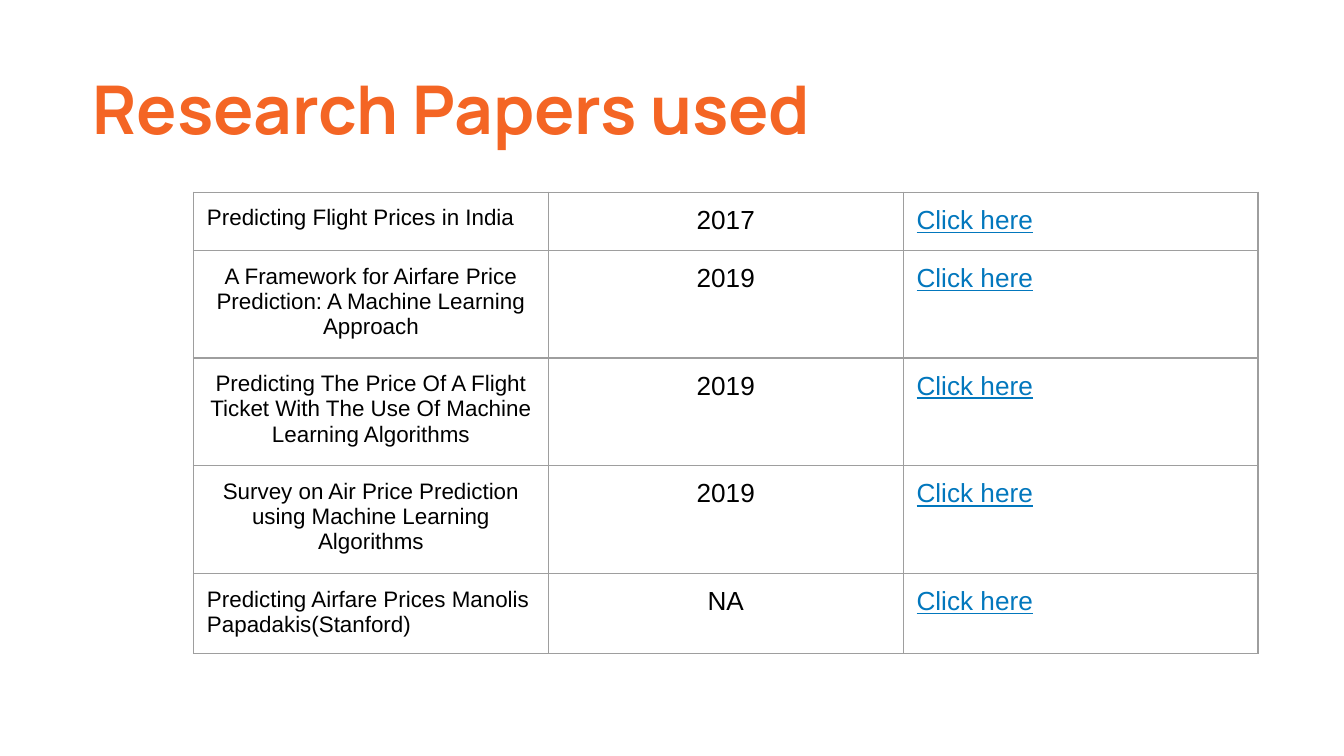
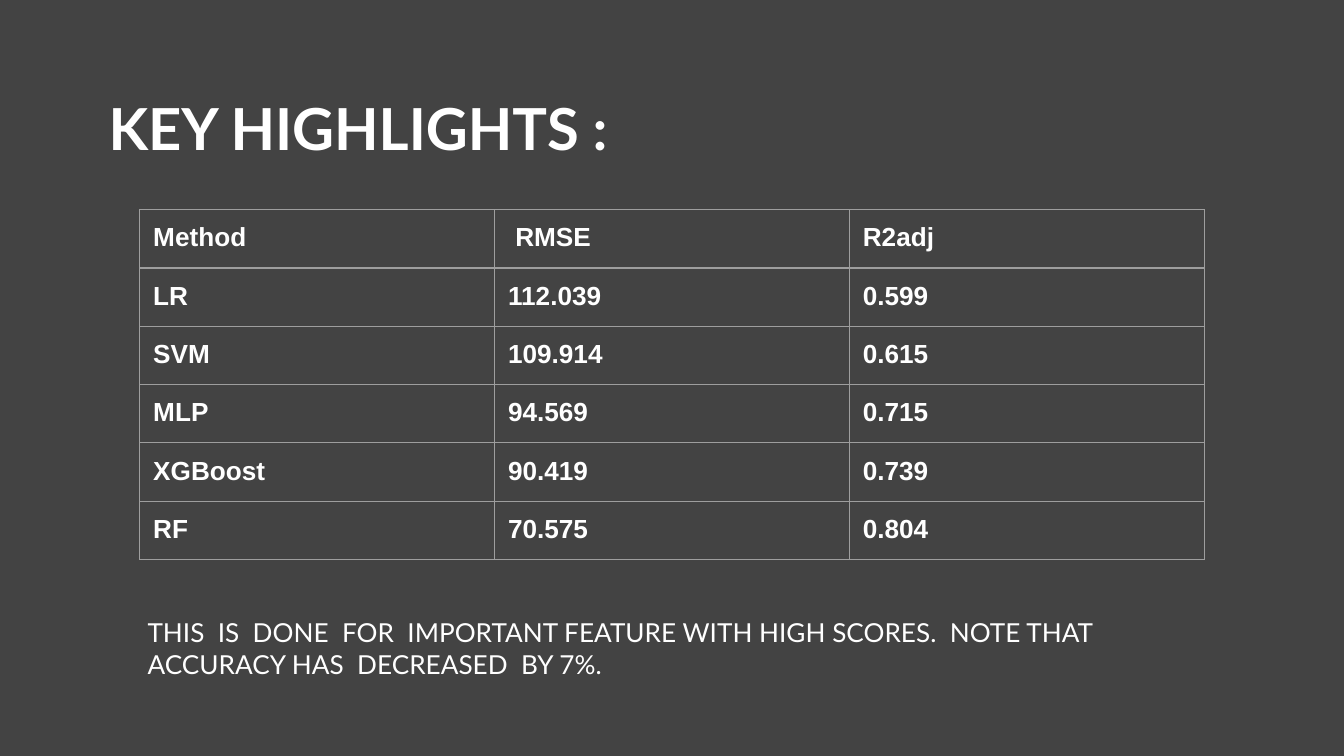
import pptx
import pptx.util
import pptx.dml.color
import pptx.enum.text
import pptx.oxml
import pptx.oxml.ns

Inches = pptx.util.Inches
Pt = pptx.util.Pt
RGBColor = pptx.dml.color.RGBColor
LEFT = pptx.enum.text.PP_ALIGN.LEFT
CENTER = pptx.enum.text.PP_ALIGN.CENTER

WHITE = RGBColor(0xFF, 0xFF, 0xFF)
BLACK = RGBColor(0x00, 0x00, 0x00)
DARK = RGBColor(0x43, 0x43, 0x43)
ORANGE = RGBColor(0xF4, 0x65, 0x24)
BLUE = RGBColor(0x02, 0x77, 0xBD)
GRID = RGBColor(0x9E, 0x9E, 0x9E)
PAD = Inches(0.1)
COL_W = Inches(2.64)
ROW_H = Inches(0.42)
FRAME = Inches(3.28)


def write(tf, text, size=14, font="Arial", color=BLACK, bold=False, underline=False, align=LEFT):
    tf.word_wrap = True
    p = tf.paragraphs[0]
    p.alignment = align
    r = p.add_run()
    r.text = text
    r.font.size = Pt(size)
    r.font.name = font
    r.font.color.rgb = color
    r.font.bold = bold
    r.font.underline = underline


def add_grid(s, left, top, rows, formats):
    sp = s.shapes.add_table(len(rows), len(formats), Inches(left), Inches(top), FRAME, FRAME)
    tbl = sp.table
    tbl.first_row = tbl.horz_banding = False
    for col in tbl.columns:
        col.width = COL_W
    for row in tbl.rows:
        row.height = ROW_H
    sp.width = sp.height = FRAME
    for i, values in enumerate(rows):
        for j, value in enumerate(values):
            cell = tbl.cell(i, j)
            cell.margin_left = cell.margin_right = cell.margin_top = cell.margin_bottom = PAD
            text, extra = value if isinstance(value, tuple) else (value, {})
            write(cell.text_frame, text, **{**formats[j], **extra})
            tcPr = cell._tc.get_or_add_tcPr()
            for side in ("lnL", "lnR", "lnT", "lnB"):
                tcPr.append(pptx.oxml.parse_xml(
                    f'<a:{side} {pptx.oxml.ns.nsdecls("a")} w="{Pt(0.75)}"><a:solidFill>'
                    f'<a:srgbClr val="{GRID}"/></a:solidFill></a:{side}>'))
            cell.fill.background()


prs = pptx.Presentation()
prs.slide_width = Inches(10)
prs.slide_height = prs.slide_width * 9 // 16

slides = []
for background, boxes in [
    (WHITE, [
        ((0.59, 0.4, 5.68, 0.84), "Research Papers used",
         dict(size=36, font="Manrope", color=ORANGE, bold=True)),
    ]),
    (DARK, [
        ((0.71, 0.59, 8.65, 0.72), "KEY HIGHLIGHTS :",
         dict(size=31, font="Lato", color=WHITE, bold=True)),
        ((1, 4.49, 7.96, 0.67),
         "THIS  IS  DONE  FOR  IMPORTANT FEATURE WITH HIGH SCORES.  NOTE THAT "
         "ACCURACY HAS  DECREASED  BY 7%.",
         dict(font="Lato", color=WHITE)),
    ]),
]:
    s = prs.slides.add_slide(prs.slide_layouts[6])
    s.background.fill.solid()
    s.background.fill.fore_color.rgb = background
    for box, text, style in boxes:
        tf = s.shapes.add_textbox(*map(Inches, box)).text_frame
        tf.margin_left = tf.margin_right = tf.margin_top = tf.margin_bottom = PAD
        write(tf, text, **style)
    slides.append(s)

papers = [
    (("Predicting Flight Prices in India", dict(align=LEFT)), "2017"),
    ("A Framework for Airfare Price Prediction: A Machine Learning Approach", "2019"),
    ("Predicting The Price Of A Flight Ticket With The Use Of Machine Learning Algorithms", "2019"),
    ("Survey on Air Price Prediction using Machine Learning Algorithms", "2019"),
    (("Predicting Airfare Prices Manolis Papadakis(Stanford)", dict(align=LEFT)), "NA"),
]
add_grid(slides[0], 1.44, 1.43,
         [(paper, year, "Click here") for paper, year in papers],
         [dict(size=12, align=CENTER), dict(align=CENTER), dict(color=BLUE, underline=True)])

scores = [
    ("Method", " RMSE", "R2adj"),
    ("LR", "112.039", "0.599"),
    ("SVM", "109.914", "0.615"),
    ("MLP", "94.569", "0.715"),
    ("XGBoost", "90.419", "0.739"),
    ("RF", "70.575", "0.804"),
]
add_grid(slides[1], 1.04, 1.56, scores, [dict(color=WHITE, bold=True)] * 3)

prs.save("out.pptx")
